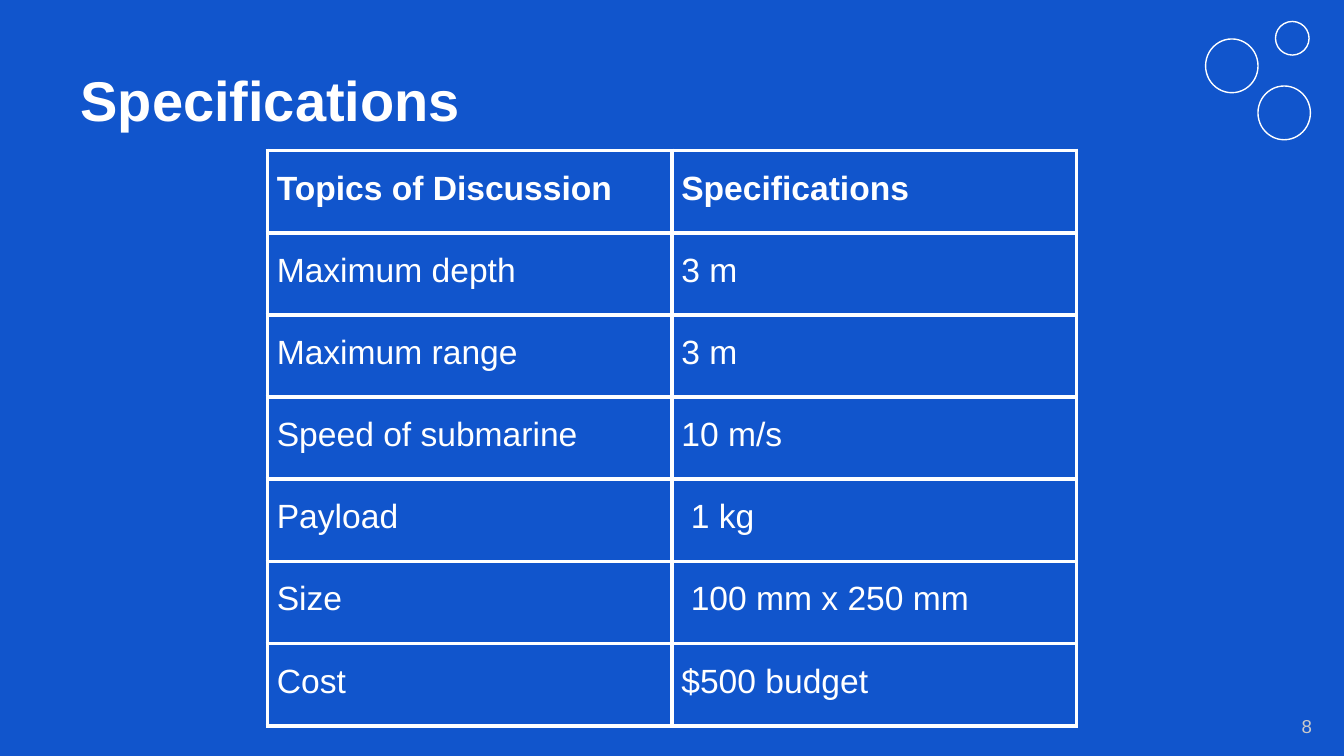
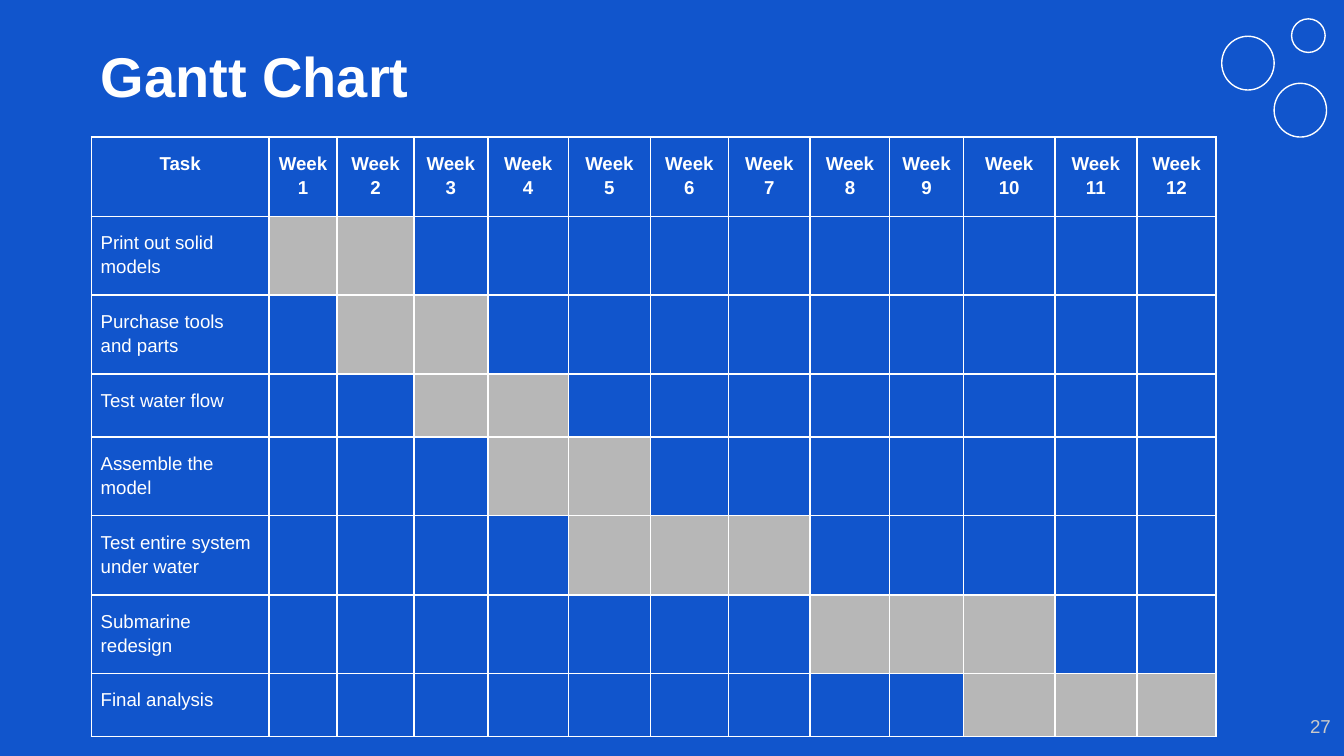
from lxml.etree import SubElement
from pptx import Presentation
from pptx.dml.color import RGBColor
from pptx.enum.shapes import MSO_SHAPE
from pptx.enum.text import MSO_ANCHOR, PP_ALIGN
from pptx.oxml.ns import qn
from pptx.util import Inches, Pt

FONT = "Arial"
BLUE, WHITE, BAR, NUMBER = "1155CC", "FFFFFF", "B7B7B7", "CACACA"
BUBBLES = [(0, 0.13, 0.39, 0.4), (0.39, 0.48, 0.39, 0.4), (0.52, 0, 0.25, 0.25)]

SPECS = [
    ("Topics of Discussion", "Specifications"),
    ("Maximum depth", "3 m"),
    ("Maximum range", "3 m"),
    ("Speed of submarine", "10 m/s"),
    ("Payload", "1 kg"),
    ("Size", "100 mm x 250 mm"),
    ("Cost", "$500 budget"),
]
INDENTED = ("Payload", "Size")
SPECS_HEIGHT = 4.28

TASKS = [
    ("Print out solid models", 1, 2),
    ("Purchase tools and parts", 2, 3),
    ("Test water flow", 3, 4),
    ("Assemble the model", 4, 5),
    ("Test entire system under water", 5, 7),
    ("Submarine redesign", 8, 10),
    ("Final analysis", 10, 12),
]
WEEKS = 12
GANTT_COLS = [1.32, 0.51, 0.57, 0.55, 0.6, 0.61, 0.58, 0.61, 0.59, 0.55, 0.68, 0.61, 0.59]
GANTT_ROWS = [0.59, 0.47, 0.59, 0.47, 0.47, 0.59, 0.47, 0.47]
FRAME_SIDE = 3.28


def rgb(value):
    return RGBColor.from_string(value)


def style_text(p, size, color=WHITE, bold=False):
    for r in p.runs:
        r.font.name, r.font.size, r.font.bold = FONT, Pt(size), bold
        r.font.color.rgb = rgb(color)


def set_frame(tf, anchor):
    tf.word_wrap = True
    tf.vertical_anchor = anchor
    tf.margin_left = tf.margin_right = tf.margin_top = tf.margin_bottom = Inches(0.1)


def add_slide(prs, title, title_at, bubbles_at, number, number_left):
    """Add a slide with its title, bubble group and page number."""
    s = prs.slides.add_slide(prs.slide_layouts[5])
    sp = s.shapes.title
    sp.left, sp.top, sp.width, sp.height = map(Inches, (*title_at, 8.44, 0.78))
    sp.text_frame.text = title
    set_frame(sp.text_frame, MSO_ANCHOR.TOP)
    p = sp.text_frame.paragraphs[0]
    p.alignment = PP_ALIGN.LEFT
    style_text(p, 30, bold=True)

    group = s.shapes.add_group_shape()
    x, y = bubbles_at
    for dx, dy, w, h in BUBBLES:
        sp = group.shapes.add_shape(MSO_SHAPE.OVAL, *map(Inches, (x + dx, y + dy, w, h)))
        sp.shadow.inherit = False
        sp.fill.background()
        sp.line.color.rgb = rgb(WHITE)
        sp.line.width = Pt(0.75)

    tf = s.shapes.add_textbox(*map(Inches, (number_left, 5.19, 0.6, 0.43))).text_frame
    set_frame(tf, MSO_ANCHOR.MIDDLE)
    tf.text = number
    tf.paragraphs[0].alignment = PP_ALIGN.RIGHT
    style_text(tf.paragraphs[0], 10, NUMBER)
    return s


def set_borders(cell, width):
    tc_pr = cell._tc.get_or_add_tcPr()
    for i, side in enumerate(("lnL", "lnR", "lnT", "lnB")):
        ln = tc_pr.makeelement(qn(f"a:{side}"), {"w": str(Pt(width))})
        fill = SubElement(ln, qn("a:solidFill"))
        SubElement(fill, qn("a:srgbClr"), val=WHITE)
        tc_pr.insert(i, ln)


def add_grid(s, at, cols, rows, texts, size, border, header_align):
    """Add an outlined table with a bold header row."""
    frame = s.shapes.add_table(len(rows), len(cols), *map(Inches, (*at, sum(cols), sum(rows))))
    table = frame.table
    table.first_row = table.horz_banding = False
    for col, width in zip(table.columns, cols):
        col.width = Inches(width)
    for row, height in zip(table.rows, rows):
        row.height = Inches(height)
    frame.width = frame.height = Inches(FRAME_SIDE)
    for i, line in enumerate(texts):
        for j, text in enumerate(line):
            cell = table.cell(i, j)
            cell.fill.background()
            set_borders(cell, border)
            cell.margin_left = cell.margin_right = Inches(0.07)
            cell.margin_top = cell.margin_bottom = Inches(0.1)
            p = cell.text_frame.paragraphs[0]
            p.line_spacing = 1.15
            p.alignment = PP_ALIGN.LEFT if i else header_align
            if text:
                p.text = text
                style_text(p, size, bold=i == 0)
            else:
                SubElement(p._p, qn("a:endParaRPr"), sz=str(size * 100))
    return table


def add_specifications(prs):
    s = add_slide(prs, "Specifications", (0.5, 0.39), (8.97, 0.16), "8", 9.26)
    rows = [SPECS_HEIGHT / len(SPECS)] * len(SPECS)
    table = add_grid(s, (1.99, 1.12), [3.01] * 2, rows, SPECS, 18, 2.25, PP_ALIGN.LEFT)
    for i, (topic, _) in enumerate(SPECS):
        if topic in INDENTED:
            table.cell(i, 1).margin_left = Inches(0.14)


def add_gantt(prs):
    s = add_slide(prs, "Gantt Chart", (0.65, 0.21), (9.09, 0.14), "27", 9.4)
    texts = [["Task"] + [f"Week {n}" for n in range(1, WEEKS + 1)]]
    texts += [[task] + [""] * WEEKS for task, _, _ in TASKS]
    table = add_grid(s, (0.68, 1.02), GANTT_COLS, GANTT_ROWS, texts, 10, 1, PP_ALIGN.CENTER)
    for i, (_, first, last) in enumerate(TASKS, 1):
        for week in range(first, last + 1):
            fill = table.cell(i, week).fill
            fill.solid()
            fill.fore_color.rgb = rgb(BAR)


def main():
    prs = Presentation()
    prs.slide_width = Inches(10)
    prs.slide_height = prs.slide_width * 9 // 16
    background = prs.slide_master.background.fill
    background.solid()
    background.fore_color.rgb = rgb(BLUE)
    add_specifications(prs)
    add_gantt(prs)
    prs.save("out.pptx")


if __name__ == "__main__":
    main()
